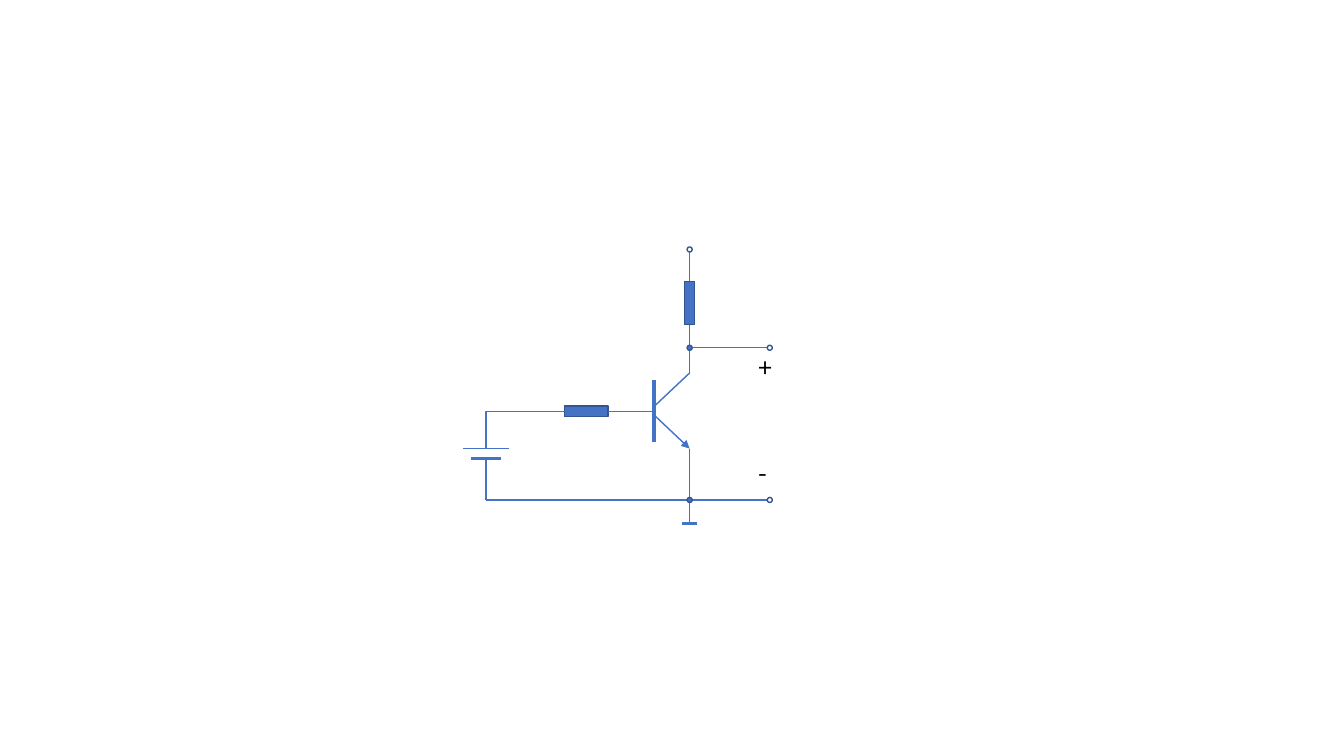
from lxml import etree
from pptx import Presentation
from pptx.dml.color import RGBColor
from pptx.enum.shapes import MSO_CONNECTOR as CONN, MSO_SHAPE as SHAPE
from pptx.enum.text import MSO_AUTO_SIZE as AUTO
from pptx.oxml.ns import qn
from pptx.util import Inches, Pt

COLORS = {"wire": "4472C4", "edge": "325491", "text": "000000"}
FONT = {"name": "Noto Sans CJK SC", "size": Pt(18)}

# Shared axes of the circuit, in inches
X_CELL, X_BASE, X_MAIN, X_OUT = 4.82, 6.49, 6.84, 7.61
Y_OUT, Y_BASE, Y_GROUND, Y_EARTH = 3.45, 4.08, 4.96, 5.19
Y_COLLECTOR, Y_EMITTER = 3.7, 4.45
Y_PLUS, Y_MINUS = 4.45, 4.55
DOT = 0.05

# Resistors: left, top, width, height
RESISTORS = {
    "load": (X_MAIN - 0.05, 2.79, 0.1, 0.43),
    "base": (5.6, Y_BASE - 0.05, 0.43, 0.1),
}

# Lines: start, end, width in points, extras
LINES = [
    ((X_BASE, 3.77), (X_BASE, 4.39), 3, {}),
    ((X_BASE, 4.12), (X_MAIN, Y_EMITTER), 1, {"arrow": True}),
    ((X_BASE, 4.03), (X_MAIN, Y_COLLECTOR), 1, {}),
    ((X_MAIN, 3.22), (X_MAIN, Y_COLLECTOR), 1, {"begin": ("load", 2)}),
    ((X_MAIN, 2.5), (X_MAIN, 2.79), 1, {"end": ("load", 0)}),
    ((X_BASE, Y_BASE), (6.03, Y_BASE), 1, {"end": ("base", 3)}),
    ((X_CELL + 0.23, Y_PLUS), (X_CELL - 0.23, Y_PLUS), 1, {}),
    ((X_CELL + 0.15, Y_MINUS), (X_CELL - 0.15, Y_MINUS), 2.25, {}),
    ((5.6, Y_BASE), (X_CELL, Y_PLUS), 1, {"begin": ("base", 1), "elbow": True}),
    ((X_CELL, Y_MINUS), (X_CELL, Y_GROUND), 1, {}),
    ((X_CELL, Y_GROUND), (X_OUT, Y_GROUND), 1, {}),
    ((X_OUT, Y_OUT), (X_MAIN, Y_OUT), 1, {}),
    ((X_MAIN, Y_EMITTER), (X_MAIN, Y_EARTH), 1, {}),
    ((X_MAIN + 0.075, Y_EARTH), (X_MAIN - 0.075, Y_EARTH), 2.25, {}),
]

# Dots: centre x, centre y, filled
DOTS = [
    (X_MAIN, 2.475, False),
    (X_OUT + DOT / 2, Y_OUT, False),
    (X_OUT + DOT / 2, Y_GROUND, False),
    (X_MAIN, Y_GROUND, True),
    (X_MAIN, Y_OUT, True),
]

# Polarity marks: text, left, top, width, height
MARKS = [("+", 7.42, 3.45, 0.37, 0.4), ("-", 7.42, 4.49, 0.33, 0.4)]


def rgb(name):
    return RGBColor.from_string(COLORS[name])


def add_part(kind, box, filled=True):
    sp = slide.shapes.add_shape(kind, *map(Inches, box))
    sp.shadow.inherit = False
    if filled:
        sp.fill.solid()
        sp.fill.fore_color.rgb = rgb("wire")
    else:
        sp.fill.background()
    sp.line.color.rgb = rgb("edge")
    sp.line.width = Pt(1)
    return sp


def add_line(start, end, width, extras):
    kind = CONN.ELBOW if extras.get("elbow") else CONN.STRAIGHT
    cx = slide.shapes.add_connector(kind, *map(Inches, start + end))
    cx.line.color.rgb = rgb("wire")
    cx.line.width = Pt(width)
    sp_pr = cx._element.spPr
    etree.SubElement(sp_pr, qn("a:effectLst"))
    if extras.get("arrow"):
        etree.SubElement(cx.line._get_or_add_ln(), qn("a:tailEnd"), type="triangle")
    if extras.get("elbow"):
        # Turn the corner right above the end point
        guides = sp_pr.find(qn("a:prstGeom")).get_or_add_avLst()
        etree.SubElement(guides, qn("a:gd"), name="adj1", fmla="val 100000")
    if "begin" in extras:
        name, site = extras["begin"]
        cx.begin_connect(resistors[name], site)
    if "end" in extras:
        name, site = extras["end"]
        cx.end_connect(resistors[name], site)


prs = Presentation()
prs.slide_width, prs.slide_height = Inches(13.33), Inches(7.5)
slide = prs.slides.add_slide(prs.slide_layouts[6])

# Circuit
resistors = {name: add_part(SHAPE.RECTANGLE, box) for name, box in RESISTORS.items()}
for line in LINES:
    add_line(*line)
for x, y, filled in DOTS:
    add_part(SHAPE.OVAL, (x - DOT / 2, y - DOT / 2, DOT, DOT), filled)

# Polarity marks
for text, *box in MARKS:
    tf = slide.shapes.add_textbox(*map(Inches, box)).text_frame
    tf.word_wrap = False
    tf.auto_size = AUTO.SHAPE_TO_FIT_TEXT
    r = tf.paragraphs[0].add_run()
    r.text = text
    for key, value in FONT.items():
        setattr(r.font, key, value)
    r.font.color.rgb = rgb("text")

prs.save("out.pptx")
